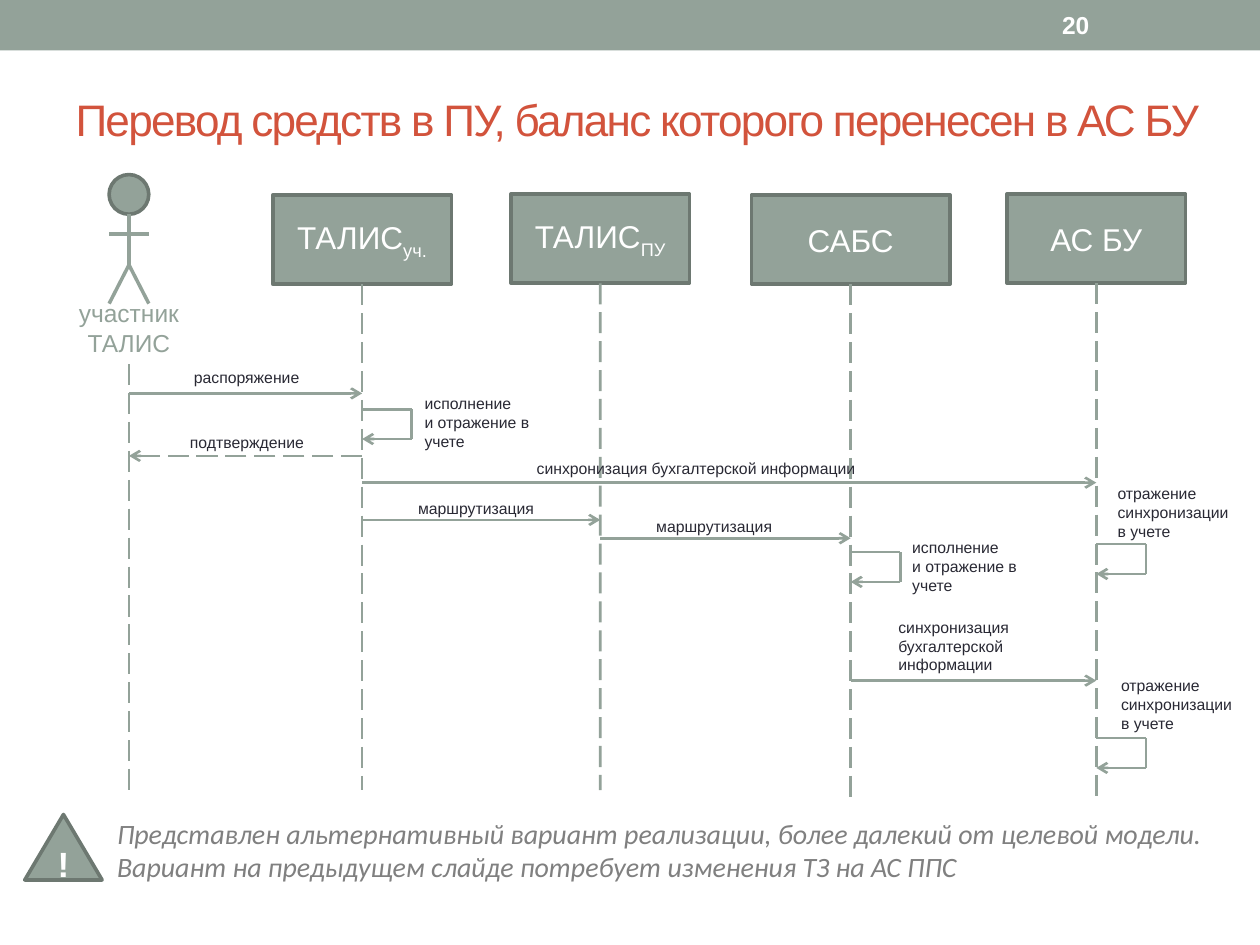
from pptx import Presentation
from pptx.dml.color import RGBColor
from pptx.enum.dml import MSO_LINE
from pptx.enum.shapes import MSO_CONNECTOR, MSO_SHAPE
from pptx.enum.text import MSO_ANCHOR as Anchor, MSO_AUTO_SIZE, PP_ALIGN as Align
from pptx.oxml.ns import qn
from pptx.util import Cm, Pt
from lxml.etree import SubElement

SAGE, EDGE, INK, RED, GREY, WHITE = "93A299", "6D7871", "292934", "D2533C", "808080", "FFFFFF"

TITLE = "Перевод средств в ПУ, баланс которого перенесен в АС БУ"
ACTOR = ["участник", "ТАЛИС"]
ACTOR_X, ACTOR_TOP = 2.6, 3.52
BOX_HEIGHT = 1.8
SYSTEMS = [
    ("ТАЛИС", "уч.", 7.3, 3.93, 3.6, 15.93),
    ("ТАЛИС", "ПУ", 12.1, 3.91, 3.6, 15.93),
    ("САБС", "", 17.15, 3.93, 4, 16.13),
    ("АС БУ", "", 22.1, 3.91, 3.6, 16.13),
]
LANES = [ACTOR_X] + [system[2] for system in SYSTEMS]
MESSAGES = [
    (0, 1, 7.93, False),
    (1, 0, 9.19, True),
    (1, 4, 9.73, False),
    (1, 2, 10.48, False),
    (2, 3, 10.85, False),
    (3, 4, 13.72, False),
]
LOOP_WIDTH, LOOP_HEIGHT = 1, 0.6
LOOPS = [(1, 8.25), (3, 11.13), (4, 10.97), (4, 14.88)]
EXECUTION = ["исполнение", "и отражение в", "учете"]
REFLECTION = ["отражение синхронизации", "в учете"]
SYNC = ["синхронизация бухгалтерской информации"]
LABELS = [
    (["распоряжение"], 3.66, 7.29, 2.84, 0.64),
    (EXECUTION, 8.31, 7.82, 3, 1.42),
    (["подтверждение"], 3.58, 8.59, 3.3, 0.64),
    (SYNC, 10.57, 9.12, 7.16, 0.64),
    (["маршрутизация"], 8.18, 9.93, 3.3, 0.64),
    (["маршрутизация"], 12.98, 10.29, 3.3, 0.64),
    (REFLECTION, 22.28, 9.63, 2.84, 1.42),
    (EXECUTION, 18.14, 10.72, 3, 1.42),
    (SYNC, 17.86, 12.32, 3.02, 1.42),
    (REFLECTION, 22.35, 13.49, 2.84, 1.42),
]
NOTE = [
    "Представлен альтернативный вариант реализации, более далекий от целевой модели.",
    "Вариант на предыдущем слайде потребует изменения ТЗ на АС ППС",
]


def paint(color_format, value):
    color_format.rgb = RGBColor.from_string(value)


def write(shape, lines, size, color, font="Arial", align=Align.LEFT,
          anchor=Anchor.TOP, bold=False, italic=False):
    frame = shape.text_frame
    frame.text = "\n".join(lines)
    frame.word_wrap = True
    frame.auto_size = MSO_AUTO_SIZE.NONE
    frame.vertical_anchor = anchor
    for para in frame.paragraphs:
        para.alignment = align
        para.font.name, para.font.size = font, Pt(size)
        para.font.bold, para.font.italic = bold, italic
        paint(para.font.color, color)
    return frame


def add_text(shapes, lines, left, top, width, height, size, color, **style):
    box = shapes.add_textbox(Cm(left), Cm(top), Cm(width), Cm(height))
    write(box, lines, size, color, **style)


def add_block(shapes, kind, left, top, width, height, outlined=True):
    block = shapes.add_shape(kind, Cm(left), Cm(top), Cm(width), Cm(height))
    block.shadow.inherit = False
    block.fill.solid()
    paint(block.fill.fore_color, SAGE)
    if outlined:
        paint(block.line.color, EDGE)
        block.line.width = Pt(2.08)
    else:
        block.line.fill.background()
    return block


def add_line(shapes, x1, y1, x2, y2, width=1.5, dashed=False, arrow=False):
    line = shapes.add_connector(MSO_CONNECTOR.STRAIGHT, Cm(x1), Cm(y1), Cm(x2), Cm(y2))
    paint(line.line.color, SAGE)
    line.line.width = Pt(width)
    if dashed:
        line.line.dash_style = MSO_LINE.LONG_DASH
    properties = line._element.spPr
    if arrow:
        SubElement(properties.find(qn("a:ln")), qn("a:tailEnd"), type="arrow")
    SubElement(properties, qn("a:effectLst"))
    return line


def add_actor(page):
    shapes = page.shapes.add_group_shape().shapes
    x, reach, neck = ACTOR_X, 0.4, ACTOR_TOP + 0.8
    arms, hips, feet = neck + 0.4, neck + 1.02, neck + 1.8
    add_block(shapes, MSO_SHAPE.OVAL, x - reach, ACTOR_TOP, 2 * reach, 0.8)
    for ends in [(x, neck, x, hips), (x - reach, arms, x + reach, arms),
                 (x, hips, x - reach, feet), (x, hips, x + reach, feet)]:
        add_line(shapes, *ends, width=2)
    add_text(shapes, ACTOR, x - 1.3, 5.89, 2.6, 1.45, 14, SAGE, align=Align.CENTER)
    add_line(page.shapes, x, 7.34, x, 15.93, dashed=True)


def add_system(page, name, index, x, top, width, bottom):
    box = add_block(page.shapes, MSO_SHAPE.RECTANGLE, x - width / 2, top, width, BOX_HEIGHT)
    frame = write(box, [name], 18, WHITE, align=Align.CENTER, anchor=Anchor.MIDDLE)
    if index:
        span = frame.paragraphs[0].add_run()
        span.text = index
        span._r.get_or_add_rPr().set("baseline", "-25000")
    lifeline = add_line(page.shapes, x, top + BOX_HEIGHT, x, bottom, dashed=True)
    lifeline.begin_connect(box, 2)


def add_loop(page, lane, top):
    shapes = page.shapes.add_group_shape().shapes
    near, bottom = LANES[lane], top + LOOP_HEIGHT
    far = near + LOOP_WIDTH
    add_line(shapes, near, top, far, top)
    add_line(shapes, far, top, far, bottom)
    add_line(shapes, far, bottom, near, bottom, arrow=True)


def main():
    deck = Presentation()
    deck.slide_width, deck.slide_height = Cm(25.4), Cm(19.05)
    page = deck.slides.add_slide(deck.slide_layouts[5])

    add_block(page.shapes, MSO_SHAPE.RECTANGLE, 0, 0, 25.4, 1.02, outlined=False)
    add_text(page.shapes, ["20"], 21.16, 0.05, 2.97, 0.91, 14, WHITE,
             anchor=Anchor.MIDDLE, bold=True)
    title = page.shapes.title
    title.left, title.top, title.width, title.height = Cm(1.27), Cm(1.47), Cm(23.24), Cm(1.85)
    frame = write(title, [TITLE], 25.2, RED, anchor=Anchor.MIDDLE)
    frame.paragraphs[0].runs[0]._r.get_or_add_rPr().set("spc", "-100")

    add_actor(page)
    for system in SYSTEMS:
        add_system(page, *system)
    for start, end, y, dashed in MESSAGES:
        add_line(page.shapes, LANES[start], y, LANES[end], y, dashed=dashed, arrow=True)
    for lane, top in LOOPS:
        add_loop(page, lane, top)
    for lines, *place in LABELS:
        add_text(page.shapes, lines, *place, 9, INK)

    add_text(page.shapes, NOTE, 2.11, 16.33, 22.8, 1.63, 16, GREY, font="Calibri", italic=True)
    warning = add_block(page.shapes, MSO_SHAPE.ISOSCELES_TRIANGLE, 0.5, 16.42, 1.56, 1.32)
    frame = write(warning, ["!"], 20, WHITE, align=Align.CENTER, anchor=Anchor.MIDDLE, bold=True)
    frame.margin_left = frame.margin_right = frame.margin_top = frame.margin_bottom = 0

    deck.save("out.pptx")


if __name__ == "__main__":
    main()
